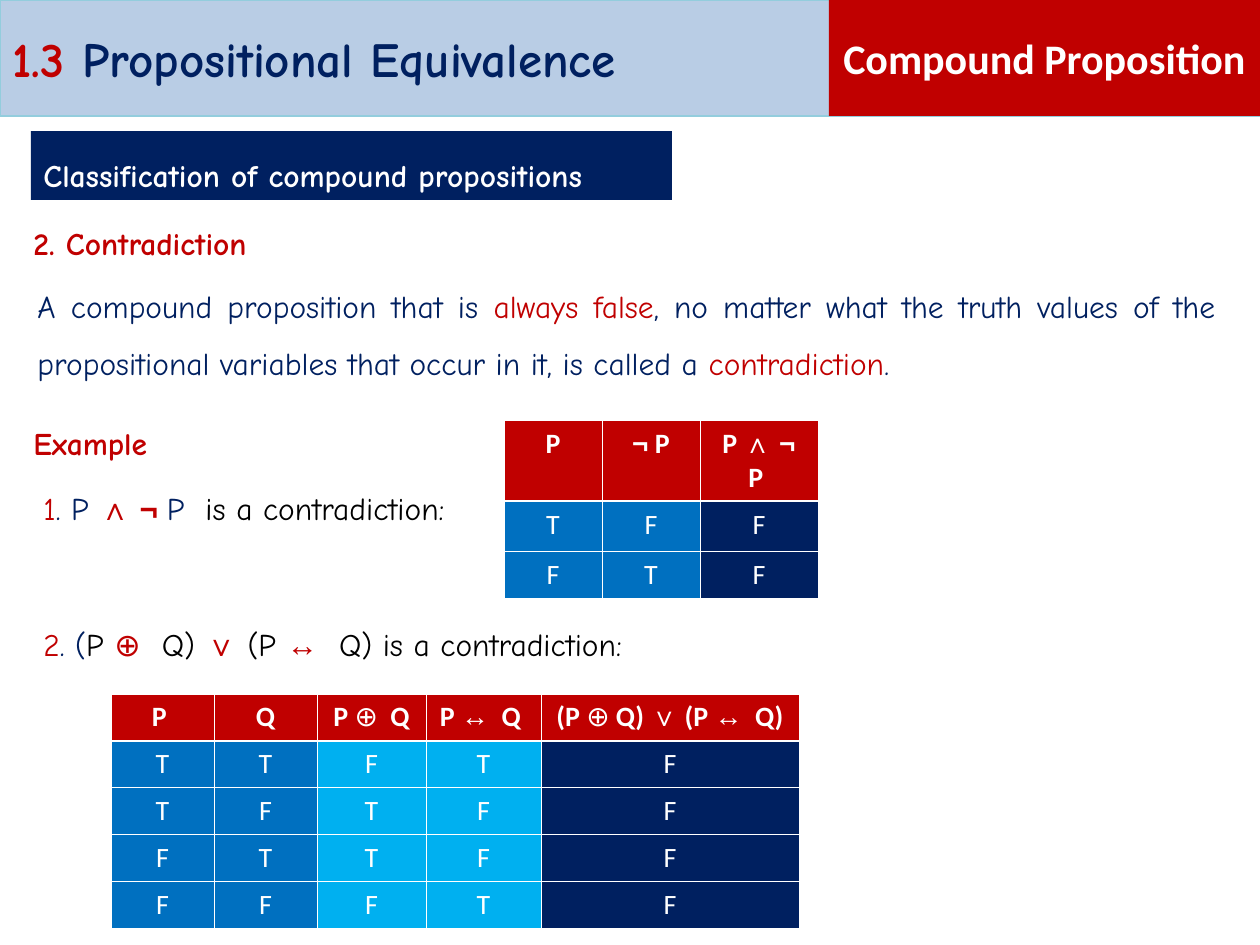
from lxml.etree import SubElement
from pptx import Presentation
from pptx.dml.color import RGBColor as Rgb
from pptx.enum.shapes import MSO_SHAPE as Shape
from pptx.enum.text import MSO_ANCHOR as Anchor, MSO_AUTO_SIZE as AutoSize, PP_ALIGN as Align
from pptx.oxml.ns import qn
from pptx.util import Emu, Pt

EMU_PER_PX = 914400 / 126
COLORS = {
    "red": "C00000", "navy": "002060", "blue": "0070C0", "sky": "00B0F0",
    "pale": "B9CDE5", "edge": "93CDDD", "white": "FFFFFF", "black": "000000",
}
HAND, SANS, SYMBOL = "Comic Neue", "Calibri", "Arial"
THIN, THICK = 0.45, 1.47

# Span formats that differ from the rest of their paragraph
RED = {"color": "red"}
NAVY = {"color": "navy"}
RED_SYMBOL = {"color": "red", "font": SYMBOL, "bold": True}
CELL_SYMBOL = {"font": SYMBOL}
CELL_PLUS = {"bold": False}


def px(length):
    return Emu(round(length * EMU_PER_PX))


def rgb(name):
    return Rgb.from_string(COLORS[name])


def write_text(frame, spans, size=18, font=HAND, color="black", bold=False,
               align=Align.LEFT, line_spacing=None):
    """Fill the first paragraph with (text, format overrides) spans."""
    para = frame.paragraphs[0]
    para.alignment = align
    if line_spacing:
        para.line_spacing = line_spacing
    for text, changes in spans:
        look = {"font": font, "color": color, "bold": bold} | changes
        span = para.add_run()
        span.text = text
        span.font.size = Pt(size)
        span.font.name = look["font"]
        span.font.bold = look["bold"]
        span.font.color.rgb = rgb(look["color"])


def prepare_frame(box, anchor):
    frame = box.text_frame
    frame.word_wrap = True
    frame.auto_size = AutoSize.NONE
    frame.vertical_anchor = anchor
    return frame


def add_title(page, bounds, spans, **text_format):
    title = page.shapes.title
    title.left, title.top, title.width, title.height = map(px, bounds)
    title.fill.solid()
    title.fill.fore_color.rgb = rgb("pale")
    title.line.color.rgb = rgb("edge")
    title.line.width = Pt(0.75)
    write_text(prepare_frame(title, Anchor.MIDDLE), spans, **text_format)


def add_banner(page, bounds, fill, text, anchor, **text_format):
    banner = page.shapes.add_shape(Shape.RECTANGLE, *map(px, bounds))
    banner.shadow.inherit = False
    banner.fill.solid()
    banner.fill.fore_color.rgb = rgb(fill)
    banner.line.fill.background()
    write_text(prepare_frame(banner, anchor), [(text, {})],
               color="white", bold=True, **text_format)


def add_text(page, bounds, spans, anchor=Anchor.TOP, **text_format):
    box = page.shapes.add_textbox(*map(px, bounds))
    write_text(prepare_frame(box, anchor), spans, **text_format)


def set_borders(cell, widths):
    """Draw white cell borders; the lines must come before the fill."""
    properties = cell._tc.get_or_add_tcPr()
    for index, (side, width) in enumerate(widths.items()):
        line = SubElement(properties, qn(f"a:ln{side}"), w=str(Pt(width)))
        fill = SubElement(line, qn("a:solidFill"))
        SubElement(fill, qn("a:srgbClr"), val=COLORS["white"])
        properties.insert(index, line)


def add_truth_table(page, left, top, widths, heights, headers, rows, fills):
    frame = page.shapes.add_table(len(heights), len(widths), px(left), px(top),
                                  px(sum(widths)), px(sum(heights)))
    table = frame.table
    for column, width in zip(table.columns, widths):
        column.width = px(width)
    for row, height in zip(table.rows, heights):
        row.height = px(height)

    contents = [headers] + [[[(value, {})] for value in row] for row in rows]
    for r, row in enumerate(contents):
        for c, spans in enumerate(row):
            cell = table.cell(r, c)
            cell.fill.solid()
            cell.fill.fore_color.rgb = rgb(fills[c] if r else "red")
            set_borders(cell, {"L": THIN, "R": THIN,
                               "T": THICK if r == 1 else THIN,
                               "B": THICK if r == 0 else THIN})
            write_text(cell.text_frame, spans, size=16, font=SANS,
                       color="white", bold=r == 0, align=Align.CENTER)


def main():
    deck = Presentation()
    deck.slide_width, deck.slide_height = px(1260), px(945)
    page = deck.slides.add_slide(deck.slide_layouts[5])

    # Header
    add_title(page, (0, 0, 1260, 116),
              [("1.3", RED), (" Propositional Equivalence", {})],
              size=28, color="navy", bold=True)
    add_banner(page, (829, 0, 431, 116), "red", "Compound Proposition",
               Anchor.MIDDLE, size=24, font=SANS, align=Align.CENTER)
    add_banner(page, (31, 131, 641, 69), "navy",
               "Classification of compound propositions",
               Anchor.TOP, line_spacing=1.5)

    # Definition
    add_text(page, (25, 262, 1203, 126), [
        ("A compound proposition that is ", {}),
        ("always false", RED),
        (", no matter what the truth values of the propositional variables "
         "that occur in it, is called a ", {}),
        ("contradiction", RED),
        (".", {}),
    ], color="navy", align=Align.JUSTIFY, line_spacing=1.5)

    # Red headings
    for text, top, width in (("2. Contradiction", 199, 336), ("Example", 399, 189)):
        add_text(page, (21, top, width, 69), [(text, {})], color="red",
                 bold=True, align=Align.JUSTIFY, line_spacing=1.5)

    # First example
    add_text(page, (31, 480, 473, 55), [
        ("1", RED), (". P ", NAVY), ("∧ ¬ ", RED_SYMBOL), ("P ", NAVY),
        (" is a contradiction:", {}),
    ], anchor=Anchor.MIDDLE)
    add_truth_table(
        page, 504, 420, (98, 98, 118), (50, 50, 47),
        headers=[
            [("P", {})],
            [("¬", CELL_SYMBOL), (" P", {})],
            [("P ", {}), ("∧ ¬ ", CELL_SYMBOL), ("P ", {})],
        ],
        rows=("TFF", "FTF"),
        fills=("blue", "blue", "navy"))

    # Second example
    add_text(page, (31, 616, 1050, 55), [
        ("2", RED), (". (", NAVY), ("P ", {}),
        ("⊕", {"color": "red", "font": SANS}), ("  Q) ", {}),
        ("∨", RED_SYMBOL), (" (P ", {}), ("↔", RED_SYMBOL),
        ("  Q) is a contradiction:", {}),
    ], anchor=Anchor.MIDDLE)
    add_truth_table(
        page, 111, 694, (103, 103, 109, 115, 258), [46] * 5,
        headers=[
            [("P ", {})],
            [("Q", {})],
            [("P ", {}), ("⊕", CELL_PLUS), ("  Q", {})],
            [("P ", {}), ("↔", CELL_SYMBOL), ("  Q ", {})],
            [("(P ", {}), ("⊕", CELL_PLUS), (" Q) ", {}), ("∨", CELL_SYMBOL),
             (" (P ", {}), ("↔", CELL_SYMBOL), ("  Q)", {})],
        ],
        rows=("TTFTF", "TFTFF", "FTTFF", "FFFTF"),
        fills=("blue", "blue", "sky", "sky", "navy"))

    deck.save("out.pptx")


if __name__ == "__main__":
    main()
